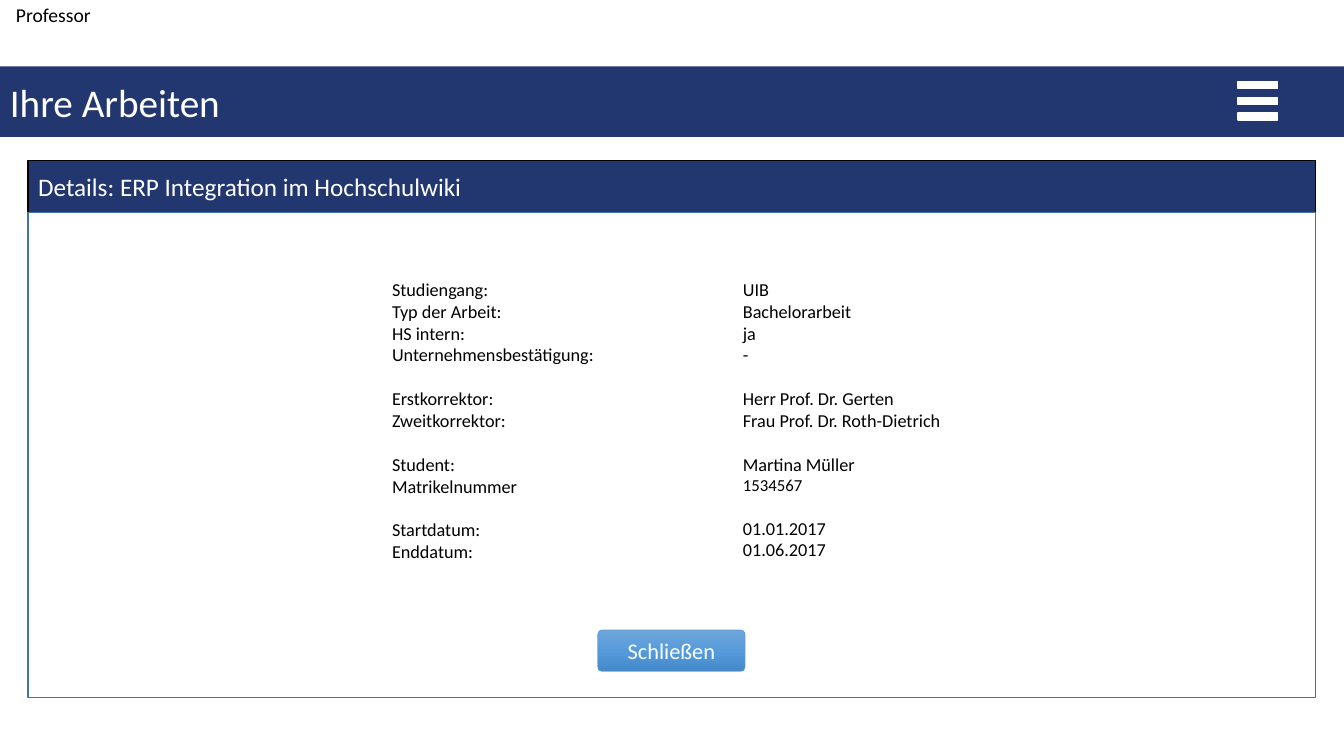
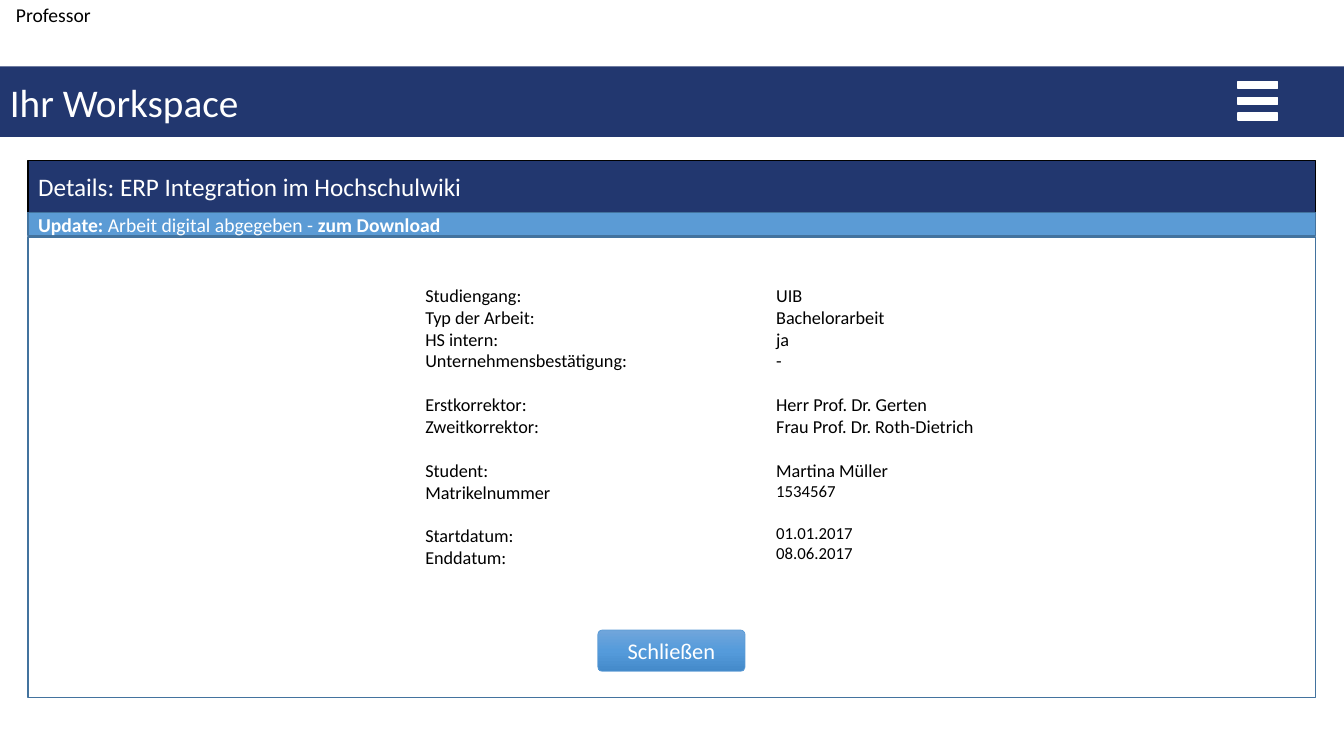
"""Build two detail pages of a thesis management mock-up."""
from copy import deepcopy

from pptx import Presentation
from pptx.dml.color import RGBColor
from pptx.enum import shapes, text
from pptx.oxml import ns
from pptx.util import Inches, Pt

COLOURS = {
    "navy": "22376F", "white": "FFFFFF", "black": "000000",
    "blue": "5B9BD5", "edge": "43739E",
    "button_top": "71A6DB", "button_middle": "559BDB", "button_bottom": "448ACA",
}
FONT = "Calibri"
BODY_SIZE = 13
GROUP_GAP = 15.6
PANEL_LEFT, PANEL_WIDTH, PANEL_BOTTOM = 0.28, 12.77, 6.92
COLUMN_STEP = 3.48
RECT = shapes.MSO_SHAPE.RECTANGLE


def add_box(parent, at, fill=None, line=None, kind=RECT, weight=1):
    place = [Inches(length) for length in at]
    if fill is None:
        box = parent.add_textbox(*place)
        box.text_frame.auto_size = text.MSO_AUTO_SIZE.SHAPE_TO_FIT_TEXT
    else:
        box = parent.add_shape(kind, *place)
        box.shadow.inherit = False
        box.fill.solid()
        box.fill.fore_color.rgb = RGBColor.from_string(COLOURS[fill])
        if line:
            box.line.color.rgb = RGBColor.from_string(COLOURS[line])
            box.line.width = Pt(weight)
        else:
            box.line.fill.background()
        box.text_frame.vertical_anchor = text.MSO_ANCHOR.MIDDLE
    box.text_frame.word_wrap = True
    return box


def write(box, lines, size, colour="white", align=text.PP_ALIGN.LEFT):
    frame = box.text_frame
    for index, (spans, gap) in enumerate(lines):
        para = frame.add_paragraph() if index else frame.paragraphs[0]
        para.alignment = align
        para.space_before = Pt(gap)
        for words, changes in spans:
            span = para.add_run()
            span.text = words
            span.font.color.rgb = RGBColor.from_string(COLOURS[colour])
            formats = {"name": FONT, "size": Pt(size), "bold": False, **changes}
            for name, value in formats.items():
                setattr(span.font, name, value)


small = {"size": Pt(12)}
labels = [
    ["Studiengang:", "Typ der Arbeit:", "HS intern:", "Unternehmensbestätigung:"],
    ["Erstkorrektor:", "Zweitkorrektor:"],
    ["Student:", "Matrikelnummer"],
    ["Startdatum:", "Enddatum:"],
]
values = [
    ["UIB", "Bachelorarbeit", "ja", "-"],
    ["Herr Prof. Dr. Gerten", "Frau Prof. Dr. Roth-Dietrich"],
    ["Martina Müller", "1534567"],
]
pages = [
    {"title": "Ihre Arbeiten", "details_at": (3.79, 2.71), "panel_top": 2.11,
     "dates": ["01.01.2017", "01.06.2017"], "small": ["1534567"], "update": []},
    {"title": "Ihr Workspace", "details_at": (4.12, 2.77), "panel_top": 2.35,
     "dates": ["01.01.2017", "08.06.2017"],
     "small": ["1534567", "01.01.2017", "08.06.2017"],
     "update": [("Update:", {"bold": True}), (" Arbeit digital abgegeben - ", {}),
                ("zum Download", {"bold": True})]},
]

deck = Presentation()
deck.slide_width, deck.slide_height = Inches(13.33), Inches(7.5)

for content in pages:
    page = deck.slides.add_slide(deck.slide_layouts[6])

    title_band = add_box(page.shapes, (0, 0.66, 13.33, 0.7), "navy")
    write(title_band, [([(content["title"], {})], 0)], 28)

    menu = page.shapes.add_group_shape()
    add_box(menu.shapes, (12.27, 0.8, 0.41, 0.41), "navy")
    for row in range(3):
        add_box(menu.shapes, (12.28, 0.81 + row * 0.155, 0.39, 0.07), "white", "white")

    details_band = add_box(page.shapes, (PANEL_LEFT, 1.59, PANEL_WIDTH, 0.52), "navy", "black")
    write(details_band, [([("Details: ERP Integration im Hochschulwiki", {})], 0)], 18)

    role = add_box(page.shapes, (0.06, -0.02, 1.43, 0.34))
    write(role, [([("Professor", {})], 0)], 14, "black")

    panel_top = content["panel_top"]
    add_box(page.shapes, (PANEL_LEFT, panel_top, PANEL_WIDTH, PANEL_BOTTOM - panel_top),
            "white", "edge")

    left, top = content["details_at"]
    for column, groups in enumerate([labels, values + [content["dates"]]]):
        lines = [
            ([(words, small if words in content["small"] else {})],
             GROUP_GAP if number and not row else 0)
            for number, group in enumerate(groups)
            for row, words in enumerate(group)
        ]
        details = add_box(page.shapes, (left + column * COLUMN_STEP, top, 2.3, 2.95))
        write(details, lines, BODY_SIZE, "black")

    button = add_box(page.shapes, (5.93, 6.25, 1.46, 0.41), "blue", "blue",
                     shapes.MSO_SHAPE.ROUNDED_RECTANGLE, 0.5)
    button.adjustments[0] = 0.11
    button.fill.gradient()
    button.fill.gradient_angle = 270
    stop_list = button.element.find(".//" + ns.qn("a:gsLst"))
    stop_list.insert(1, deepcopy(stop_list[0]))
    shades = ["button_top", "button_middle", "button_bottom"]
    for index, (stop, shade) in enumerate(zip(button.fill.gradient_stops, shades)):
        stop.position = index / 2
        stop.color.rgb = RGBColor.from_string(COLOURS[shade])
    write(button, [([("Schließen", {})], 0)], 16, align=text.PP_ALIGN.CENTER)

    if content["update"]:
        update_band = add_box(page.shapes, (PANEL_LEFT, 2.11, PANEL_WIDTH, 0.23), "blue", "edge")
        write(update_band, [(content["update"], 0)], 14)

deck.save("out.pptx")
